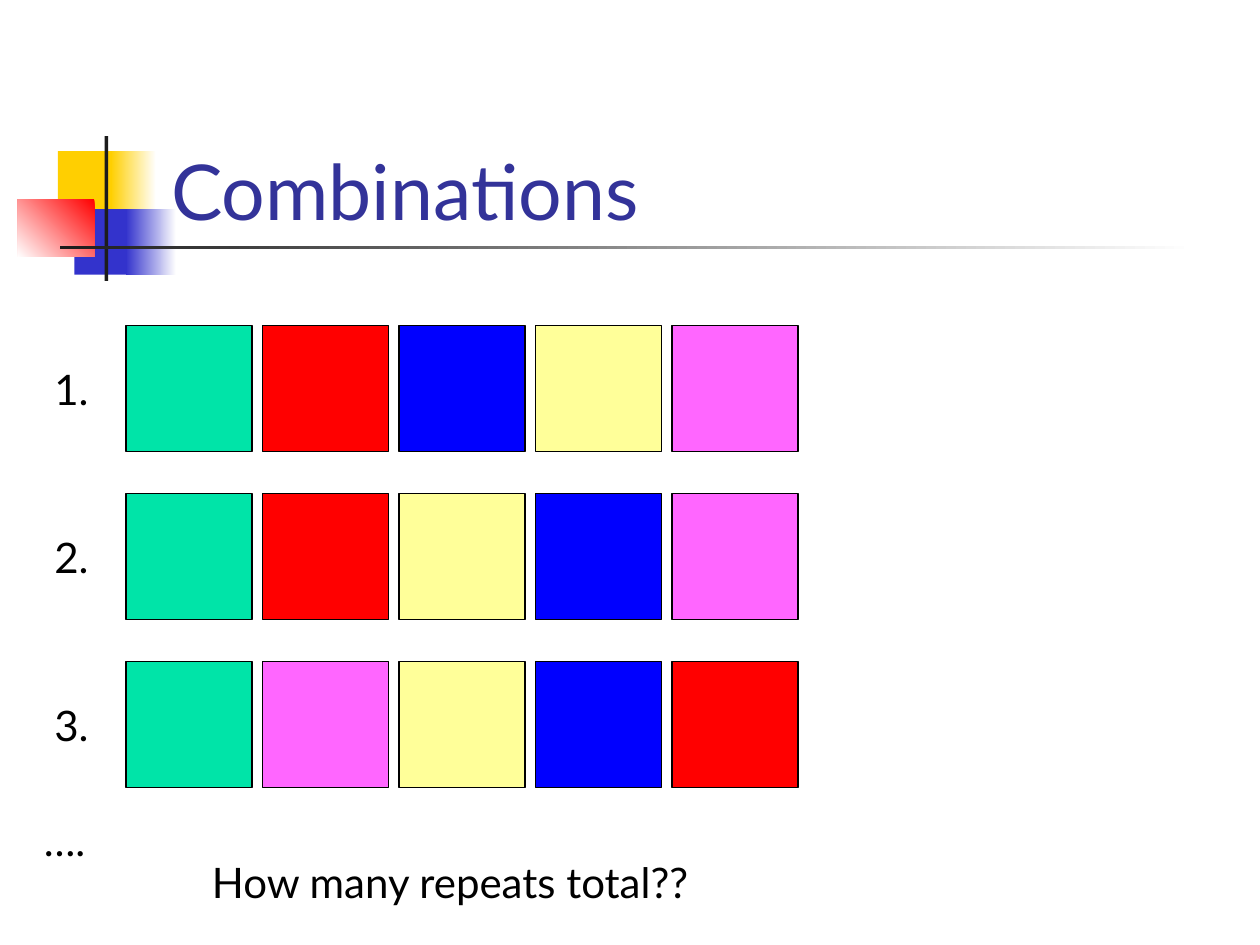
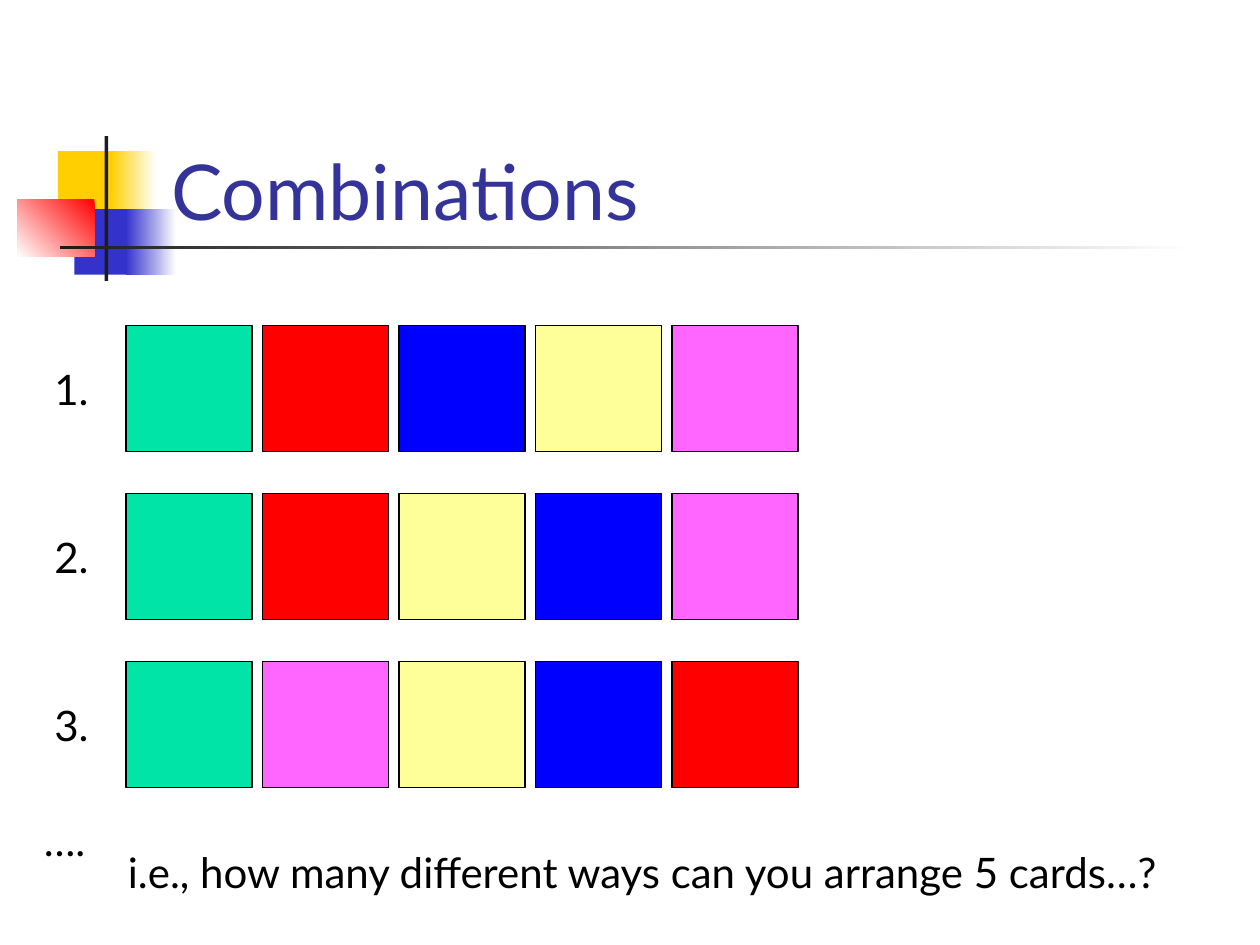
from dataclasses import dataclass

from pptx import Presentation
from pptx import util as u
from pptx.dml import color
from pptx.enum import shapes, text


@dataclass(frozen=True)
class Theme:
    font: str = "Lato"
    title_size: int = 44
    body_size: int = 24
    before: int = 15
    title: str = "333399"
    ink: str = "000000"
    white: str = "FFFFFF"
    gold: str = "FFCF01"
    indigo: str = "3333CC"
    rule: str = "1C1C1C"
    green: str = "00E4A8"
    red: str = "FF0000"
    blue: str = "0000FF"
    yellow: str = "FFFF99"
    pink: str = "FF66FF"


T = Theme()
UNIT = 1 / 12  # grid step in inches
CARD = 12 * UNIT
COL_STEP, ROW_STEP = 13 * UNIT, 16 * UNIT
LEFT, TOP = 12 * UNIT, 31 * UNIT


def add_rect(s, box, fill, line=None):
    """Rectangle with a plain colour or a (start, end, angle) gradient."""
    sp = s.shapes.add_shape(shapes.MSO_SHAPE.RECTANGLE, *map(u.Inches, box))
    sp.shadow.inherit = False
    if isinstance(fill, tuple):
        sp.fill.gradient()
        sp.fill.gradient_angle = fill[2]
        for stop, rgb, pos in zip(sp.fill.gradient_stops, fill, (0, 1)):
            stop.color.rgb = color.RGBColor.from_string(rgb)
            stop.position = pos
    else:
        sp.fill.solid()
        sp.fill.fore_color.rgb = color.RGBColor.from_string(fill)
    if line:
        sp.line.color.rgb = color.RGBColor.from_string(line)
        sp.line.width = u.Pt(0.75)
    else:
        sp.line.fill.background()


def add_text(s, box, words, size=T.body_size, rgb=T.ink, before=T.before,
             anchor=text.MSO_ANCHOR.TOP):
    tf = s.shapes.add_textbox(*map(u.Inches, box)).text_frame
    tf.word_wrap = True
    tf.vertical_anchor = anchor
    p = tf.paragraphs[0]
    p.space_before = u.Pt(before)
    r = p.add_run()
    r.text = words
    r.font.name = T.font
    r.font.size = u.Pt(size)
    r.font.color.rgb = color.RGBColor.from_string(rgb)


# Title ornament, from back to front
ornament = [
    ((0.46, 1.2, 0.48, 0.52), T.gold),
    ((0.88, 1.2, 0.36, 0.52), (T.white, T.gold, 180)),
    ((0.59, 1.66, 0.46, 0.52), T.indigo),
    ((1, 1.66, 0.4, 0.52), (T.white, T.indigo, 180)),
    ((0.14, 1.58, 0.61, 0.46), (T.red, T.white, 225)),
    ((0.83, 1.08, 0.03, 1.15), T.rule),
    ((0.48, 1.95, 9, 0.03), (T.white, T.rule, 180)),
]

# Card order in each arrangement
arrangements = [
    (T.green, T.red, T.blue, T.yellow, T.pink),
    (T.green, T.red, T.yellow, T.blue, T.pink),
    (T.green, T.pink, T.yellow, T.blue, T.red),
]

# The question under the cards, one for each slide
questions = [
    ((19 * UNIT, 81 * UNIT, 61 * UNIT, 0.5), "How many repeats total??"),
    ((11 * UNIT, 80 * UNIT, 106 * UNIT, 0.5),
     "i.e., how many different ways can you arrange 5 cards…?"),
]

prs = Presentation()
prs.slide_width, prs.slide_height = u.Inches(10), u.Inches(7.5)

for question_box, question in questions:
    s = prs.slides.add_slide(prs.slide_layouts[6])

    # Ornament and title
    for box, fill in ornament:
        add_rect(s, box, fill)
    add_text(s, (1.26, 0.67, 8.52, 1.25), "Combinations", T.title_size,
             T.title, before=0, anchor=text.MSO_ANCHOR.BOTTOM)

    # Numbered rows of cards
    for row, cards in enumerate(arrangements):
        y = TOP + row * ROW_STEP
        add_text(s, (4 * UNIT, y + 3 * UNIT, 6 * UNIT, 0.5), f"{row + 1}.")
        for col, card in enumerate(cards):
            add_rect(s, (LEFT + col * COL_STEP, y, CARD, CARD), card, T.ink)

    # Continuation dots and question
    add_text(s, (3 * UNIT, 77 * UNIT, 26 * UNIT, 0.5), "….")
    add_text(s, question_box, question)

prs.save("out.pptx")
